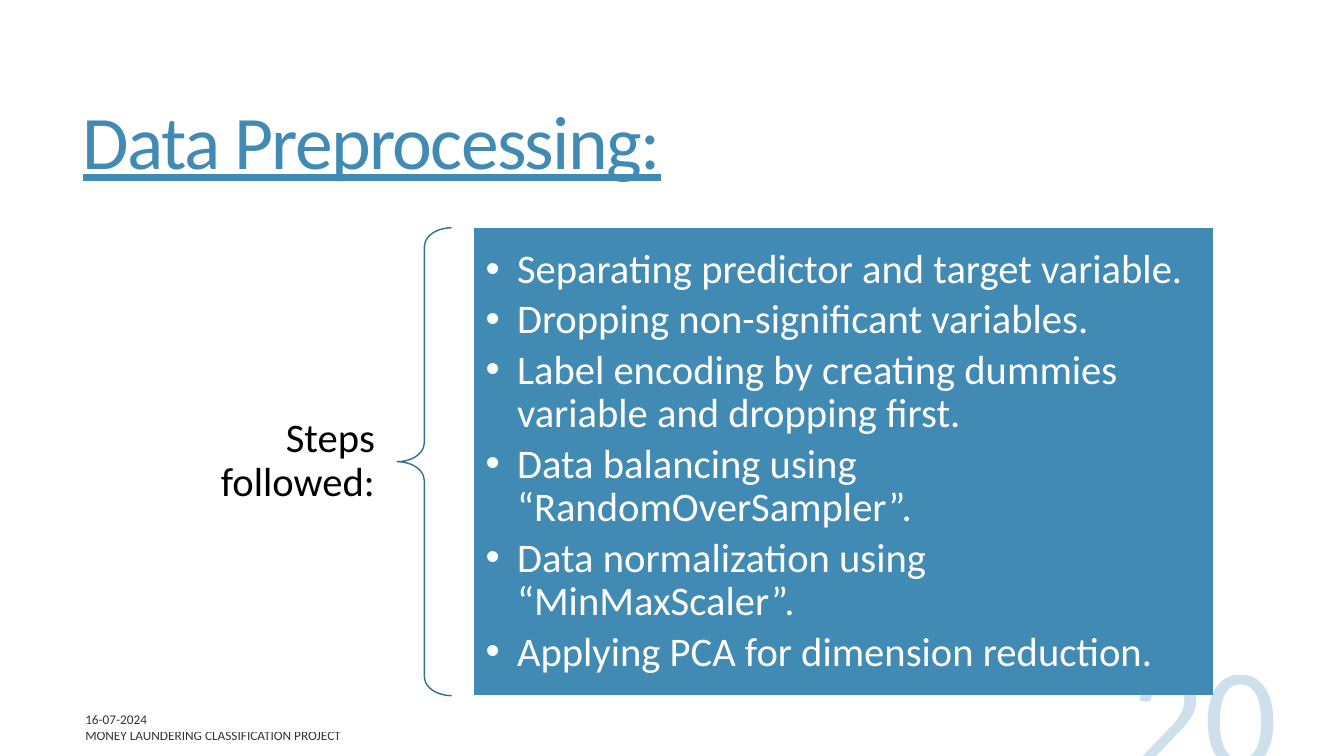
"""Build the data preprocessing slide."""
from dataclasses import dataclass
from typing import Any

from lxml import etree
from pptx import Presentation
from pptx.dml import color
from pptx.enum import shapes, text
from pptx.oxml import ns
from pptx.util import Cm, Pt

COLORS = {"blue": "418AB3", "brace": "346F8F", "black": "000000", "white": "FFFFFF"}
FONT = "Calibri"
LIST_SIZE = 29
PANEL_TOP, PANEL_HEIGHT = 5.74, 11.79
STEPS = (
    "Separating predictor and target variable.",
    "Dropping non-significant variables.",
    "Label encoding by creating dummies variable and dropping first.",
    "Data balancing using “RandomOverSampler”.",
    "Data normalization using “MinMaxScaler”.",
    "Applying PCA for dimension reduction.",
)


@dataclass(frozen=True)
class Label:
    """A text box with its place in centimetres and its look."""

    words: str
    left: float
    top: float
    width: float
    height: float
    size: float
    color: str = "black"
    opacity: int = 100
    align: Any = text.PP_ALIGN.LEFT
    anchor: Any = text.MSO_ANCHOR.MIDDLE
    side_inset: float = 0.25
    line_spacing: float = 1.0


LABELS = (
    Label("Steps followed:", 3.17, 10.29, 6.86, 2.69, LIST_SIZE,
          align=text.PP_ALIGN.RIGHT, side_inset=0.58, line_spacing=0.9),
    Label("16-07-2024", 1.9, 17.81, 11.43, 0.64, 9.5, opacity=80),
    Label("20", 24.33, 16.33, 8.13, 3.89, 103, color="blue", opacity=25,
          align=text.PP_ALIGN.RIGHT, anchor=text.MSO_ANCHOR.BOTTOM),
    Label("MONEY LAUNDERING CLASSIFICATION PROJECT", 1.9, 18.21, 13.97, 0.64, 9.5,
          opacity=80),
)


def rgb(name: str) -> color.RGBColor:
    """Return a named colour."""
    return color.RGBColor.from_string(COLORS[name])


def place(sp: Any, left: float, top: float, width: float, height: float) -> None:
    """Move and size a shape in centimetres."""
    sp.left, sp.top, sp.width, sp.height = map(Cm, (left, top, width, height))


def style(p: Any, size: float, name: str, line_spacing: float = 1.0) -> None:
    """Format a paragraph."""
    p.font.name, p.font.size = FONT, Pt(size)
    p.font.color.rgb = rgb(name)
    p.line_spacing, p.space_before = line_spacing, Pt(0)


def prepare(tf: Any, anchor: Any = text.MSO_ANCHOR.MIDDLE) -> None:
    """Make a text frame wrap at a fixed size."""
    tf.word_wrap, tf.auto_size = True, text.MSO_AUTO_SIZE.NONE
    tf.vertical_anchor = anchor


def add_title(s: Any) -> None:
    """Fill the title placeholder."""
    sp = s.shapes.title
    place(sp, 1.83, 1.4, 29.92, 4.6)
    prepare(sp.text_frame)
    sp.text_frame.text = "Data Preprocessing:"
    p = sp.text_frame.paragraphs[0]
    style(p, 54, "blue", 0.85)
    p.alignment, p.font.underline = text.PP_ALIGN.LEFT, True
    p.font._rPr.set("spc", "-120")


def add_steps(s: Any) -> None:
    """Turn the body placeholder into the blue list panel."""
    sp = s.placeholders[1]
    place(sp, 11.94, PANEL_TOP, 18.64, PANEL_HEIGHT)
    sp.fill.solid()
    sp.fill.fore_color.rgb = rgb("blue")
    sp.line.color.rgb, sp.line.width = rgb("white"), Pt(1)
    tf = sp.text_frame
    prepare(tf)
    tf.margin_left = tf.margin_right = tf.margin_top = tf.margin_bottom = Cm(0.3)
    tf.text = "\n".join(STEPS)
    for p in tf.paragraphs:
        style(p, LIST_SIZE, "white", 0.9)
        p.space_after = Pt(4.5)
        pPr = p._p.get_or_add_pPr()
        pPr.set("marL", str(Cm(0.79)))
        pPr.set("indent", str(-Cm(0.79)))


def add_brace(s: Any) -> None:
    """Draw the brace between the label and the list."""
    sp = s.shapes.add_shape(shapes.MSO_SHAPE.LEFT_BRACE, Cm(10.01), Cm(PANEL_TOP),
                            Cm(1.37), Cm(PANEL_HEIGHT))
    sp.adjustments[0], sp.adjustments[1] = 0.35, 0.5
    sp.shadow.inherit = False
    sp.fill.background()
    sp.line.color.rgb, sp.line.width = rgb("brace"), Pt(1)


def add_label(s: Any, label: Label) -> None:
    """Add one text box."""
    sp = s.shapes.add_textbox(0, 0, 0, 0)
    place(sp, label.left, label.top, label.width, label.height)
    tf = sp.text_frame
    prepare(tf, label.anchor)
    tf.margin_left = tf.margin_right = Cm(label.side_inset)
    tf.text = label.words
    p = tf.paragraphs[0]
    style(p, label.size, label.color, label.line_spacing)
    p.alignment = label.align
    if label.opacity < 100:
        clr = p.font._rPr.find(".//" + ns.qn("a:srgbClr"))
        etree.SubElement(clr, ns.qn("a:alpha")).set("val", str(label.opacity * 1000))


def main() -> None:
    """Build and save the slide."""
    prs = Presentation()
    prs.slide_width, prs.slide_height = Cm(33.87), Cm(19.05)
    s = prs.slides.add_slide(prs.slide_layouts[1])
    add_title(s)
    add_steps(s)
    add_brace(s)
    for label in LABELS:
        add_label(s, label)
    prs.save("out.pptx")


if __name__ == "__main__":
    main()
